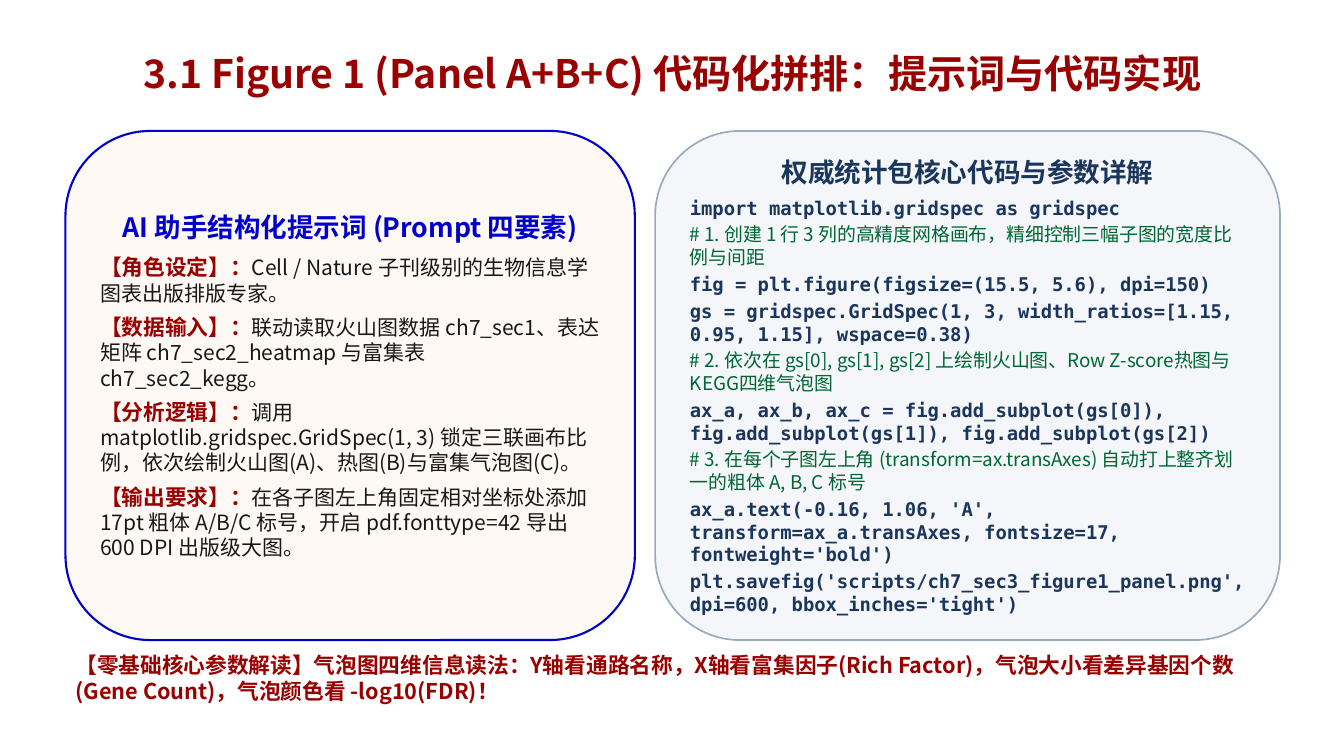
from lxml import etree
from pptx import Presentation
from pptx import util as u
from pptx.dml import color
from pptx.enum import shapes, text
from pptx.oxml import ns

RED, BLUE, NAVY, GREEN, INK = "990000", "0000CC", "1B365D", "006633", "181818"
MARGIN, FULL_WIDTH = 1.65, 30.61
PANEL_TOP, PANEL_HEIGHT = 3.3, 12.83
PROMPT_WIDTH, CODE_LEFT, CODE_WIDTH = 14.35, 16.51, 15.75

PROMPTS = [
    ("【角色设定】：", "Cell / Nature 子刊级别的生物信息学图表出版排版专家。"),
    ("【数据输入】：", "联动读取火山图数据 ch7_sec1、表达矩阵 ch7_sec2_heatmap 与富集表 ch7_sec2_kegg。"),
    ("【分析逻辑】：", "调用 matplotlib.gridspec.GridSpec(1, 3) 锁定三联画布比例，依次绘制火山图(A)、热图(B)与富集气泡图(C)。"),
    ("【输出要求】：", "在各子图左上角固定相对坐标处添加 17pt 粗体 A/B/C 标号，开启 pdf.fonttype=42 导出 600 DPI 出版级大图。"),
]
CODE_LINES = [
    "import matplotlib.gridspec as gridspec",
    "# 1. 创建 1 行 3 列的高精度网格画布，精细控制三幅子图的宽度比例与间距",
    "fig = plt.figure(figsize=(15.5, 5.6), dpi=150)",
    "gs = gridspec.GridSpec(1, 3, width_ratios=[1.15, 0.95, 1.15], wspace=0.38)",
    "# 2. 依次在 gs[0], gs[1], gs[2] 上绘制火山图、Row Z-score热图与KEGG四维气泡图",
    "ax_a, ax_b, ax_c = fig.add_subplot(gs[0]), fig.add_subplot(gs[1]), fig.add_subplot(gs[2])",
    "# 3. 在每个子图左上角 (transform=ax.transAxes) 自动打上整齐划一的粗体 A, B, C 标号",
    "ax_a.text(-0.16, 1.06, 'A', transform=ax_a.transAxes, fontsize=17, fontweight='bold')",
    "plt.savefig('scripts/ch7_sec3_figure1_panel.png', dpi=600, bbox_inches='tight')",
]


def rgb(value):
    return color.RGBColor.from_string(value)


class SlideBuilder:
    body_font = "Noto Sans CJK SC"
    code_font = "DejaVu Sans Mono"

    def __init__(self, presentation):
        self.slide = presentation.slides.add_slide(presentation.slide_layouts[6])

    def style(self, font, size, fill, bold):
        font.size = u.Pt(size)
        font.bold = bold
        font.color.rgb = rgb(fill)

    def text_box(self, left, top, width, height):
        shape = self.slide.shapes.add_textbox(*map(u.Cm, (left, top, width, height)))
        shape.text_frame.word_wrap = True
        return shape.text_frame

    def panel(self, left, width, fill, line, line_width):
        shape = self.slide.shapes.add_shape(
            shapes.MSO_SHAPE.ROUNDED_RECTANGLE,
            *map(u.Cm, (left, PANEL_TOP, width, PANEL_HEIGHT)))
        shape.shadow.inherit = False
        shape.fill.solid()
        shape.fill.fore_color.rgb = rgb(fill)
        shape.line.color.rgb = rgb(line)
        shape.line.width = u.Pt(line_width)
        frame = shape.text_frame
        frame.word_wrap = True
        frame.vertical_anchor = text.MSO_ANCHOR.MIDDLE
        return frame

    def paragraph(self, frame, runs, after=0, centred=False, font=body_font):
        paragraph = frame.paragraphs[0]
        if paragraph.runs:
            paragraph = frame.add_paragraph()
        paragraph.alignment = text.PP_ALIGN.CENTER if centred else text.PP_ALIGN.LEFT
        paragraph.space_after = u.Pt(after)
        for words, *look in runs:
            run = paragraph.add_run()
            run.text = words
            self.style(paragraph.font if len(runs) == 1 else run.font, *look)
        paragraph.font.name = font
        latin = paragraph.font._element.find(ns.qn("a:latin"))
        east_asian = etree.Element(ns.qn("a:ea"), typeface=self.body_font)
        latin.addnext(east_asian)
        return paragraph


def main():
    presentation = Presentation()
    presentation.slide_width = u.Cm(33.87)
    presentation.slide_height = u.Cm(19.05)
    builder = SlideBuilder(presentation)

    title = builder.text_box(2.34, 0.84, 29.21, 2.13)
    title.vertical_anchor = text.MSO_ANCHOR.MIDDLE
    heading = builder.paragraph(
        title, [("3.1 Figure 1 (Panel A+B+C) 代码化拼排：提示词与代码实现", 28, RED, True)],
        centred=True)
    heading.line_spacing = 0.9

    prompt_panel = builder.panel(MARGIN, PROMPT_WIDTH, "FFF9F5", BLUE, 1.5)
    builder.paragraph(
        prompt_panel, [("AI 助手结构化提示词 (Prompt 四要素)", 19, BLUE, True)], 8, True)
    for label, request in PROMPTS:
        builder.paragraph(
            prompt_panel, [(label, 15.5, RED, True), (request, 15, INK, False)], 6)

    code_panel = builder.panel(CODE_LEFT, CODE_WIDTH, "F4F6F9", "99AABB", 1.2)
    builder.paragraph(code_panel, [("权威统计包核心代码与参数详解", 19, NAVY, True)], 6, True)
    for line in CODE_LINES:
        if line.startswith("#"):
            builder.paragraph(code_panel, [(line, 13.5, GREEN, False)], 3)
        else:
            builder.paragraph(
                code_panel, [(line, 13.5, NAVY, True)], 3, font=builder.code_font)

    footer = builder.text_box(MARGIN, 16.31, FULL_WIDTH, 1.65)
    footer.auto_size = text.MSO_AUTO_SIZE.SHAPE_TO_FIT_TEXT
    builder.paragraph(footer, [(
        "【零基础核心参数解读】气泡图四维信息读法：Y轴看通路名称，X轴看富集因子(Rich Factor)，"
        "气泡大小看差异基因个数(Gene Count)，气泡颜色看 -log10(FDR)！", 15.5, RED, True)])

    presentation.save("out.pptx")


if __name__ == "__main__":
    main()
